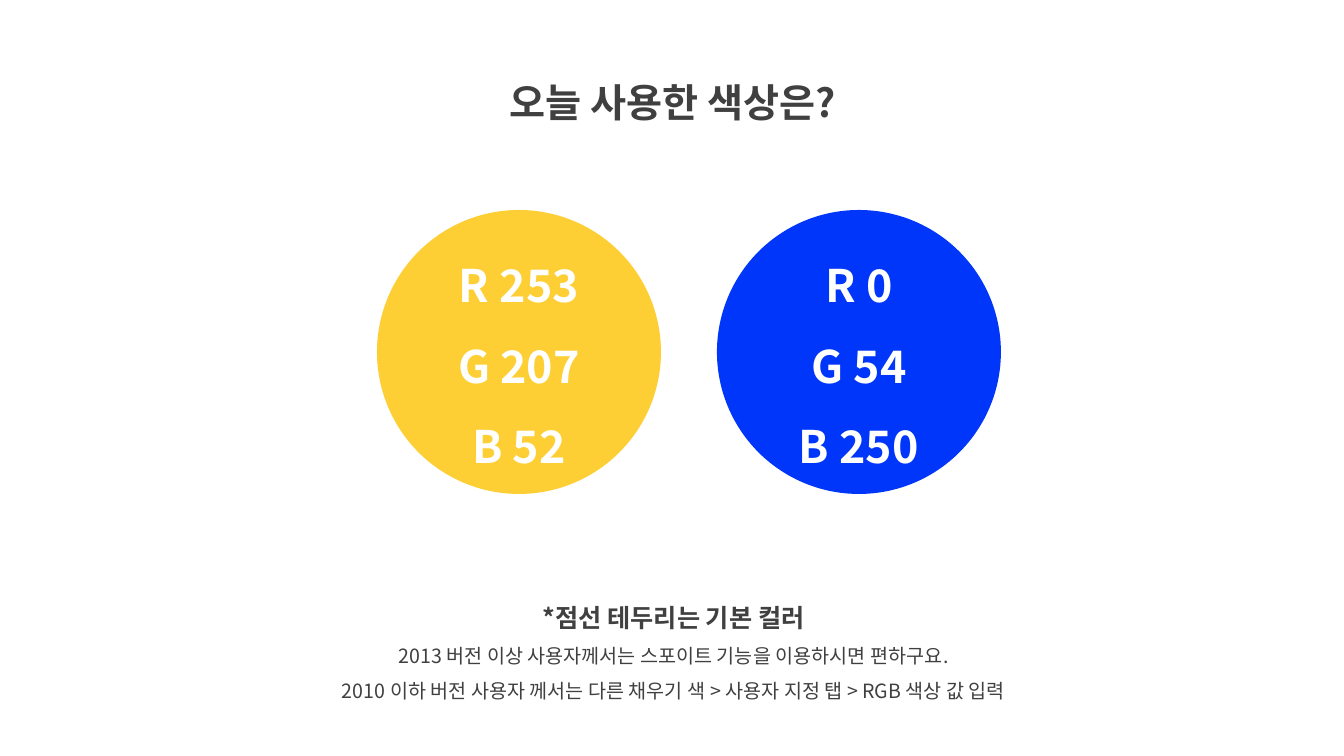
from lxml import etree
from pptx import Presentation
from pptx.dml.color import RGBColor
from pptx.enum.shapes import MSO_SHAPE
from pptx.enum.text import MSO_ANCHOR, MSO_AUTO_SIZE, PP_ALIGN
from pptx.oxml.ns import qn
from pptx.util import Pt

OVAL = MSO_SHAPE.OVAL
MIDDLE = MSO_ANCHOR.MIDDLE
GROW = MSO_AUTO_SIZE.SHAPE_TO_FIT_TEXT
CENTER = PP_ALIGN.CENTER

FONT = "Noto Sans CJK KR"
COLORS = {"ink": "404040", "white": "FFFFFF", "yellow": "FDCF34", "blue": "0036FA"}
FORMATS = {
    "title": {"size": Pt(28), "bold": True},
    "heading": {"size": Pt(18), "bold": True},
    "body": {"size": Pt(14), "bold": False},
    "value": {"size": Pt(32), "bold": True},
}

TITLE = [("오늘 사용한 색상은?", "title")]
NOTES = [
    ("*점선 테두리는 기본 컬러", "heading"),
    ("2013 버전 이상 사용자께서는 스포이트 기능을 이용하시면 편하구요.", "body"),
    ("2010 이하 버전 사용자 께서는 다른 채우기 색 > 사용자 지정 탭 > RGB 색상 값 입력", "body"),
]
SWATCHES = [
    ("yellow", ["R 253", "G 207", "B 52"]),
    ("blue", ["R 0", "G 54", "B 250"]),
]
TEXT_BLOCKS = [
    ((439, 50, 467, 73), TITLE),
    ((271, 582, 805, 127), NOTES),
]

SLIDE_WIDTH, SLIDE_HEIGHT = 1344, 756
SWATCH_LEFT, SWATCH_TOP, SWATCH_SIZE, SWATCH_STEP = 377, 210, 284, 340
EMU_PER_PX = 12192000 / SLIDE_WIDTH


def emu(*lengths):
    return [round(length * EMU_PER_PX) for length in lengths]


def write_lines(frame, lines, color):
    frame.word_wrap = True
    for index, (text, style) in enumerate(lines):
        paragraph = frame.add_paragraph() if index else frame.paragraphs[0]
        paragraph.alignment = CENTER
        paragraph.line_spacing = 1.5
        run = paragraph.add_run()
        run.text = text
        for attribute, value in FORMATS[style].items():
            setattr(run.font, attribute, value)
        run.font.name = FONT
        run.font.color.rgb = RGBColor.from_string(COLORS[color])
        etree.SubElement(run.font._element, qn("a:ea"), typeface=FONT)


deck = Presentation()
deck.slide_width, deck.slide_height = emu(SLIDE_WIDTH, SLIDE_HEIGHT)
slide = deck.slides.add_slide(deck.slide_layouts[6])

for box, lines in TEXT_BLOCKS:
    frame = slide.shapes.add_textbox(*emu(*box)).text_frame
    write_lines(frame, lines, "ink")
    frame.auto_size = GROW

for column, (color, values) in enumerate(SWATCHES):
    left = SWATCH_LEFT + column * SWATCH_STEP
    swatch = slide.shapes.add_shape(OVAL, *emu(left, SWATCH_TOP, SWATCH_SIZE, SWATCH_SIZE))
    swatch.shadow.inherit = False
    swatch.fill.solid()
    swatch.fill.fore_color.rgb = RGBColor.from_string(COLORS[color])
    swatch.line.fill.background()
    swatch.text_frame.vertical_anchor = MIDDLE
    write_lines(swatch.text_frame, [(value, "value") for value in values], "white")

deck.save("out.pptx")
